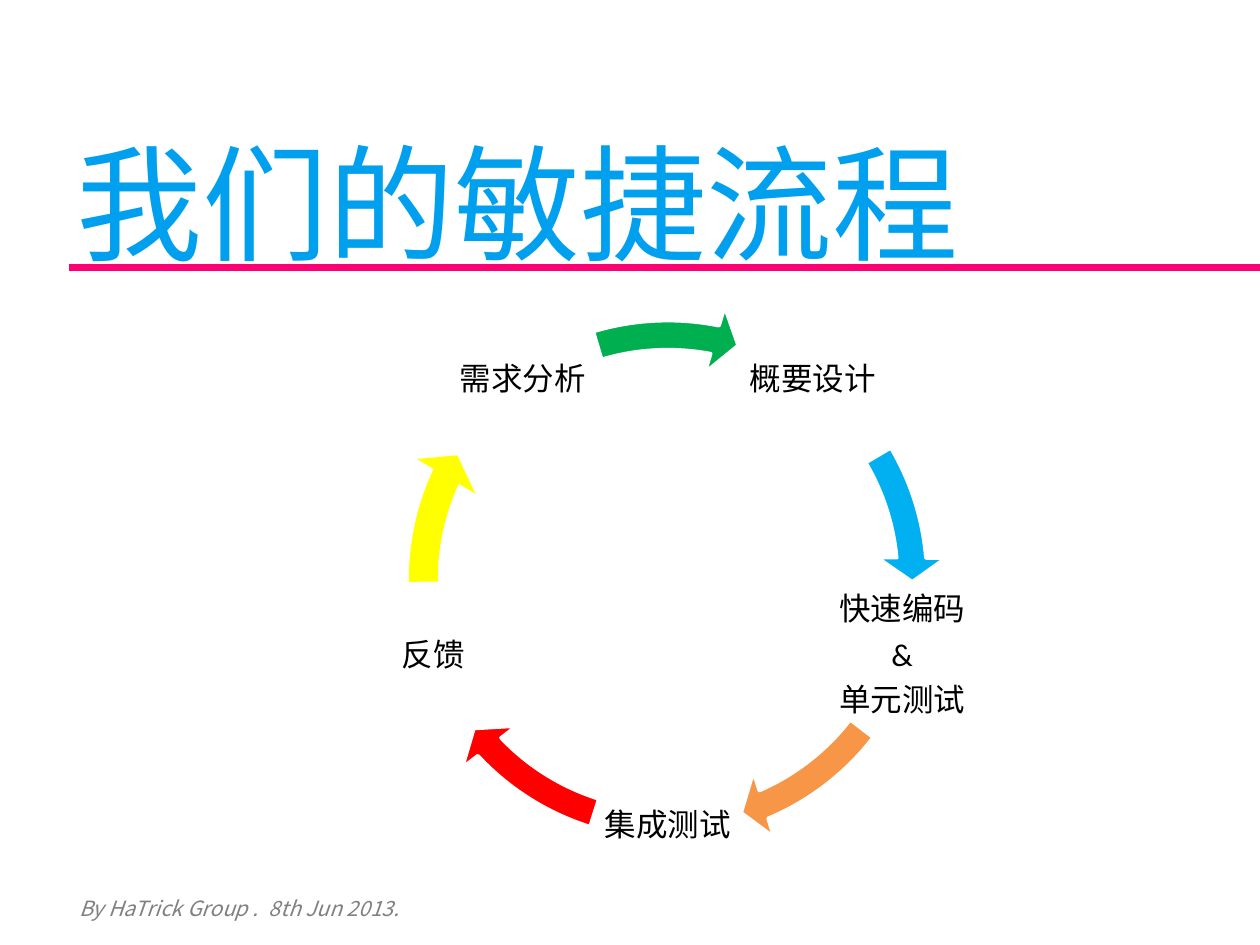
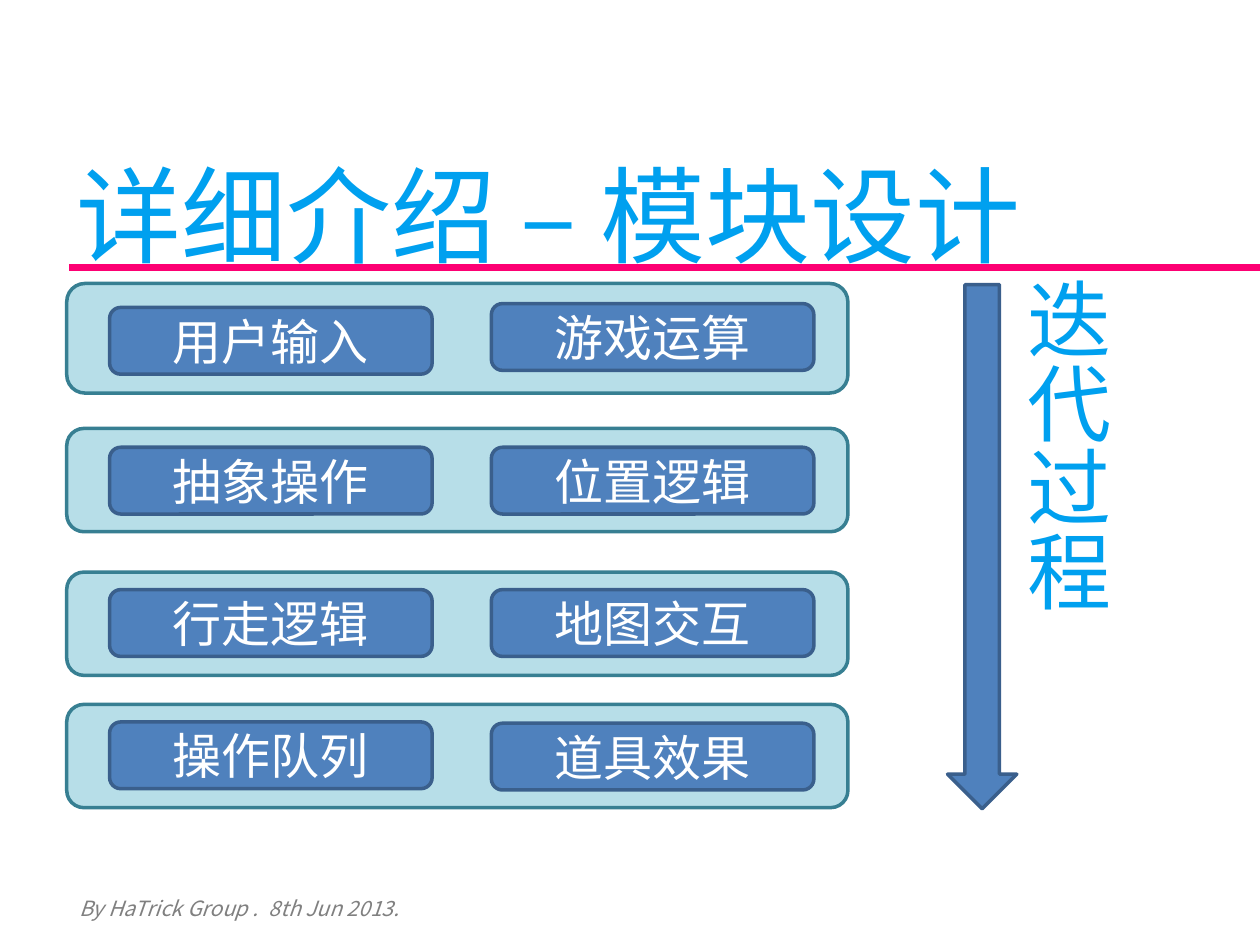
import math

import pptx
import pptx.dml.color
import pptx.enum.shapes
import pptx.enum.text
import pptx.util
from lxml import etree
from pptx.oxml.ns import qn

COLUMNS, ROWS = 100, 75
CJK = "Noto Sans CJK SC"
TITLE_BLUE = "00A0EF"
RULE_PINK = "FD0073"
FOOTER_GRAY = "808080"
MODULE_FILL, MODULE_EDGE = "4F81BD", "3A5F8C"
LANE_FILL, LANE_EDGE = "B7DEE8", "377F92"
WHITE, BLACK = "FFFFFF", "000000"
SHAPES = pptx.enum.shapes.MSO_SHAPE
ALIGN = pptx.enum.text.PP_ALIGN
MIDDLE = pptx.enum.text.MSO_ANCHOR.MIDDLE


def color(value):
    return pptx.dml.color.RGBColor.from_string(value)


class Deck:
    def __init__(self):
        self.presentation = pptx.Presentation()
        self.presentation.slide_width = pptx.util.Inches(10)
        self.presentation.slide_height = pptx.util.Inches(7.5)
        self.slide = None

    def x(self, columns):
        return round(self.presentation.slide_width * columns / COLUMNS)

    def y(self, rows):
        return round(self.presentation.slide_height * rows / ROWS)

    def area(self, left, top, width, height):
        return self.x(left), self.y(top), self.x(width), self.y(height)

    def new_slide(self, title, size, font):
        self.slide = self.presentation.slides.add_slide(self.presentation.slide_layouts[6])
        self.rule(5.5, 21.2, 100)
        self.text((6.1, 10, 76, 12.6), [[title]], size, font, TITLE_BLUE,
                  insets=(0, 0, 0, 0.5), spacing=pptx.util.Pt(86), wrap=False)
        footer = self.text((5.3, 70.6, 28.3, 3),
                           [["By HaTrick Group ", ".", " 8th Jun 2013."]],
                           12, CJK, FOOTER_GRAY, italic=True)
        footer.text_frame.paragraphs[0].runs[1].font._element.set("spc", "300")

    def rule(self, left, top, right):
        line = self.slide.shapes.add_connector(
            pptx.enum.shapes.MSO_CONNECTOR.STRAIGHT,
            self.x(left), self.y(top), self.x(right), self.y(top))
        line.line.color.rgb = color(RULE_PINK)
        line.line.width = pptx.util.Pt(4)
        etree.SubElement(line._element.spPr, qn("a:effectLst"))

    def fill_text(self, frame, paragraphs, size, font, ink, align=None,
                  spacing=None, after=None, italic=False):
        for index, parts in enumerate(paragraphs):
            paragraph = frame.add_paragraph() if index else frame.paragraphs[0]
            paragraph.alignment = align
            paragraph.line_spacing = spacing
            paragraph.space_after = after
            for part in parts:
                run = paragraph.add_run()
                run.text = part
                run.font.size = pptx.util.Pt(size)
                run.font.italic = italic
                run.font.color.rgb = color(ink)
                run.font.name = font
                etree.SubElement(run.font._element, qn("a:ea"), typeface=CJK)

    def text(self, area, paragraphs, size, font, ink, insets=(1, 0.5, 1, 0.5),
             wrap=True, anchor=None, vertical=False, **style):
        box = self.slide.shapes.add_textbox(*self.area(*area))
        frame = box.text_frame
        frame.word_wrap = wrap
        frame.vertical_anchor = anchor
        left, top, right, bottom = insets
        frame.margin_left, frame.margin_right = self.x(left), self.x(right)
        frame.margin_top, frame.margin_bottom = self.y(top), self.y(bottom)
        if vertical:
            frame._txBody.bodyPr.set("vert", "eaVert")
        self.fill_text(frame, paragraphs, size, font, ink, **style)
        return box

    def shape(self, kind, area, fill, edge, label=None, adjustments=()):
        figure = self.slide.shapes.add_shape(kind, *self.area(*area))
        figure.shadow.inherit = False
        figure.fill.solid()
        figure.fill.fore_color.rgb = color(fill)
        if edge:
            figure.line.color.rgb = color(edge)
            figure.line.width = pptx.util.Pt(2)
        else:
            figure.line.fill.background()
        for index, value in enumerate(adjustments):
            figure.adjustments[index] = value
        if label:
            figure.text_frame.vertical_anchor = MIDDLE
            self.fill_text(figure.text_frame, [[label]], 28, "Calibri", WHITE, ALIGN.CENTER)

    def cycle_arrow(self, area, fill, edge, start, end):
        degree = 0.6
        self.shape(SHAPES.CIRCULAR_ARROW, area, fill, edge, adjustments=(
            0.052, 5.6 * degree, end * degree, start * degree, 0.061))


def agile_cycle(deck):
    deck.new_slide("我们的敏捷流程", 72, "Cambria")
    center_x, center_y, radius, side, ring = 53, 46, 19.56, 11.8, 44.2
    stages = [
        (["概要设计"], "00B0F0", WHITE, 329.43, 354.9),
        (["快速编码", "&", "单元测试"], "F79646", WHITE, 37.55, 66.92),
        (["集成测试"], "FF0000", WHITE, 107.48, 136.86),
        (["反馈"], "FFFF00", None, 179.51, 204.98),
        (["需求分析"], "00B050", WHITE, 253.3, 281.11),
    ]
    ring_area = (center_x - ring / 2, center_y - ring / 2, ring, ring)
    for index, (lines, fill, edge, start, end) in enumerate(stages):
        angle = math.radians(-54 + index * 360 / len(stages))
        left = center_x + radius * math.cos(angle) - side / 2
        top = center_y + radius * math.sin(angle) - side / 2
        deck.text((left, top, side, side), [[line] for line in lines], 18, "Calibri", BLACK,
                  insets=(0.3,) * 4, anchor=MIDDLE, align=ALIGN.CENTER,
                  spacing=0.9, after=pptx.util.Pt(6.3))
        deck.cycle_arrow(ring_area, fill, edge, start, end)


def module_design(deck):
    deck.new_slide("详细介绍 – 模块设计", 60, CJK)
    lanes = [
        (22.5, 8.7, [("用户输入", 24.4), ("游戏运算", 24.1)]),
        (34, 8.2, [("抽象操作", 35.5), ("位置逻辑", 35.5)]),
        (45.4, 8.2, [("行走逻辑", 46.8), ("地图交互", 46.8)]),
        (55.9, 8.2, [("操作队列", 57.3), ("道具效果", 57.4)]),
    ]
    for lane_top, lane_height, modules in lanes:
        deck.shape(SHAPES.ROUNDED_RECTANGLE, (5.3, lane_top, 62, lane_height),
                   LANE_FILL, LANE_EDGE)
        for column, (module, top) in enumerate(modules):
            deck.shape(SHAPES.ROUNDED_RECTANGLE, (8.7 + 30.3 * column, top, 25.6, 5.3),
                       MODULE_FILL, MODULE_EDGE, module)
    deck.shape(SHAPES.DOWN_ARROW, (75.2, 22.6, 5.5, 41.6), MODULE_FILL, MODULE_EDGE)
    deck.text((80.5, 22, 12.1, 42.7), [["迭代过程"]], 48, CJK, TITLE_BLUE,
              insets=(0, 0, 0, 0.5), vertical=True, align=ALIGN.CENTER,
              spacing=pptx.util.Pt(86))


def main():
    deck = Deck()
    agile_cycle(deck)
    module_design(deck)
    deck.presentation.save("out.pptx")


if __name__ == "__main__":
    main()
